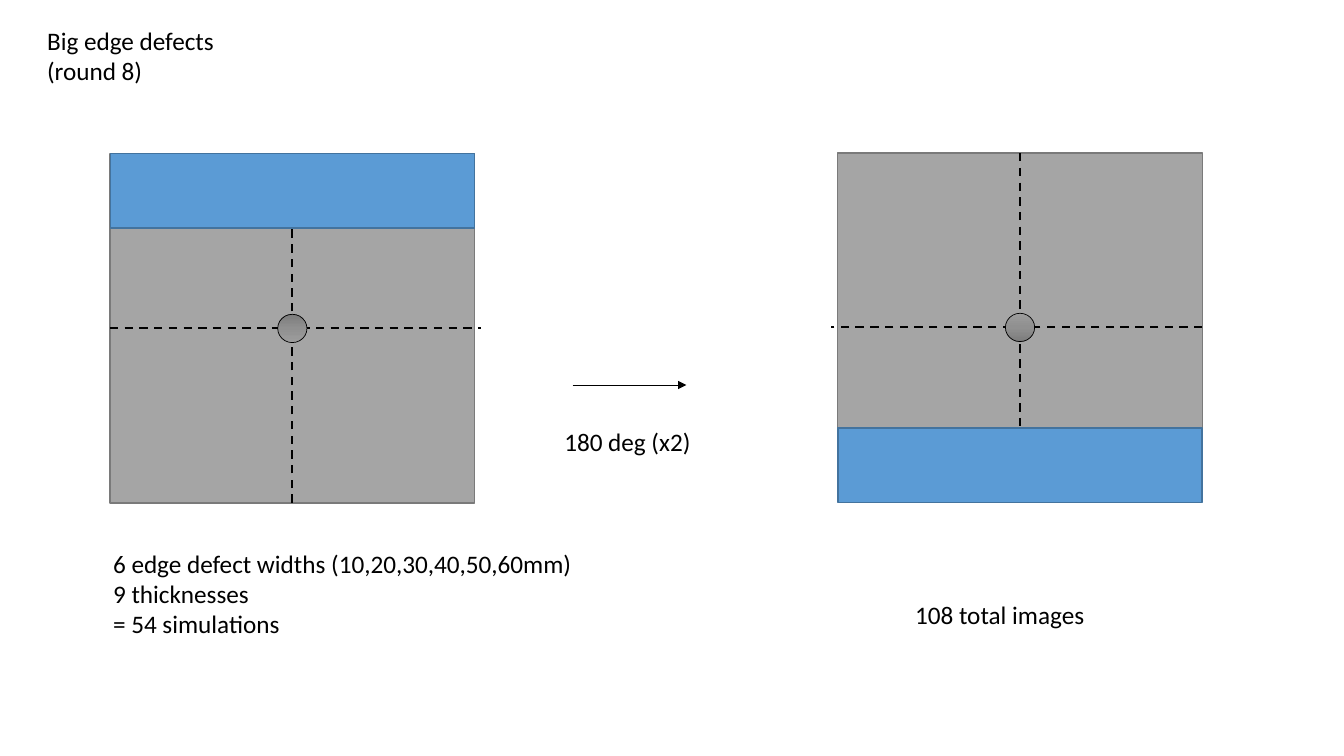
import pptx
import pptx.util
import pptx.dml.color
import pptx.enum.dml
import pptx.enum.shapes
import pptx.oxml
import pptx.oxml.ns

Pt = pptx.util.Pt
SHAPES = pptx.enum.shapes.MSO_SHAPE
STRAIGHT = pptx.enum.shapes.MSO_CONNECTOR.STRAIGHT
DASH = pptx.enum.dml.MSO_LINE.DASH

COLOURS = {
    "ink": "000000", "plate": "A5A5A5", "plate_edge": "7A7A7A",
    "defect": "5B9BD5", "defect_edge": "43739E",
    "hub_top": "9D9D9D", "hub_middle": "909090", "hub_bottom": "7C7C7C",
}
FONT = {"name": "Calibri", "size": Pt(18)}
TEXTS = [
    (["Big edge defects", "(round 8)"], (26.6, 14.4, 208, 51)),
    (["6 edge defect widths (10,20,30,40,50,60mm)", "9 thicknesses",
      "= 54 simulations"], (73.7, 388, 376, 72.7)),
    (["180 deg (x2)"], (396, 301, 108, 29)),
    (["108 total images"], (646.6, 424.8, 136.8, 29)),
]
PLATES = [
    {"centre": (208.8, 234.6), "direction": 1, "rotation": 180},
    {"centre": (728.6, 233.9), "direction": -1, "rotation": 0},
]
PLATE = (260.6, 249.1)
DEFECT = (260, 53.3)
HUB = (20.9, 20.2)
DEFECT_OFFSET = 98.4
AXIS_OVERHANG = 4.7
ARROW = (409, 275, 490.3, 275)


def colour(name):
    return pptx.dml.color.RGBColor.from_string(COLOURS[name])


def xml(body):
    namespace = pptx.oxml.ns.nsdecls("a")
    return pptx.oxml.parse_xml(body.replace(">", f" {namespace}>", 1))


def add_text(page, lines, frame):
    box = page.shapes.add_textbox(*map(Pt, frame))
    box.text_frame.word_wrap = True
    box.text_frame.text = "\n".join(lines)
    for para in box.text_frame.paragraphs:
        for span in para.runs:
            span.font.color.rgb = colour("ink")
            for key, value in FONT.items():
                setattr(span.font, key, value)


def add_line(parent, ends, width, dash=None):
    line = parent.shapes.add_connector(STRAIGHT, *map(Pt, ends))
    line.line.color.rgb = colour("ink")
    for key, value in {"width": Pt(width), "dash_style": dash}.items():
        setattr(line.line, key, value)
    line._element.spPr.append(xml("<a:effectLst></a:effectLst>"))
    return line


def add_part(parent, kind, centre, size, fill, edge, width, rotation):
    corner = [c - s / 2 for c, s in zip(centre, size)]
    part = parent.shapes.add_shape(kind, *map(Pt, (*corner, *size)))
    part.rotation = rotation
    part.shadow.inherit = False
    part.fill.solid()
    part.fill.fore_color.rgb = colour(fill)
    part.line.color.rgb = colour(edge)
    part.line.width = Pt(width)
    return part


def shade_hub(hub):
    names = ("hub_top", "hub_middle", "hub_bottom")
    stops = "".join(
        f'<a:gs pos="{place * 50000}"><a:srgbClr val="{COLOURS[name]}"/></a:gs>'
        for place, name in enumerate(names))
    gradient = xml(f'<a:gradFill rotWithShape="1"><a:gsLst>{stops}</a:gsLst>'
                   '<a:lin ang="5400000" scaled="0"/></a:gradFill>')
    properties = hub._element.spPr
    solid = properties.find(pptx.oxml.ns.qn("a:solidFill"))
    properties.replace(solid, gradient)


def add_plate(page, centre, direction, rotation):
    group = page.shapes.add_group_shape()
    x, y = centre
    half_width, half_height = (direction * side / 2 for side in PLATE)
    overhang = direction * AXIS_OVERHANG
    add_part(group, SHAPES.RECTANGLE, centre, PLATE,
             "plate", "plate_edge", 1, rotation)
    add_line(group, (x, y + half_height, x, y - half_height), 1.5, DASH)
    add_line(group, (x - half_width, y, x + half_width + overhang, y), 1.5, DASH)
    shade_hub(add_part(group, SHAPES.OVAL, centre, HUB,
                       "hub_middle", "ink", 0.5, rotation))
    add_part(group, SHAPES.RECTANGLE, (x, y - direction * DEFECT_OFFSET), DEFECT,
             "defect", "defect_edge", 1, rotation)


deck = pptx.Presentation()
deck.slide_width, deck.slide_height = Pt(960), Pt(540)
page = deck.slides.add_slide(deck.slide_layouts[6])
for lines, frame in TEXTS:
    add_text(page, lines, frame)
arrow = add_line(page, ARROW, 0.5)
arrow.line._get_or_add_ln().append(xml('<a:tailEnd type="triangle"></a:tailEnd>'))
for plate in PLATES:
    add_plate(page, **plate)
deck.save("out.pptx")
